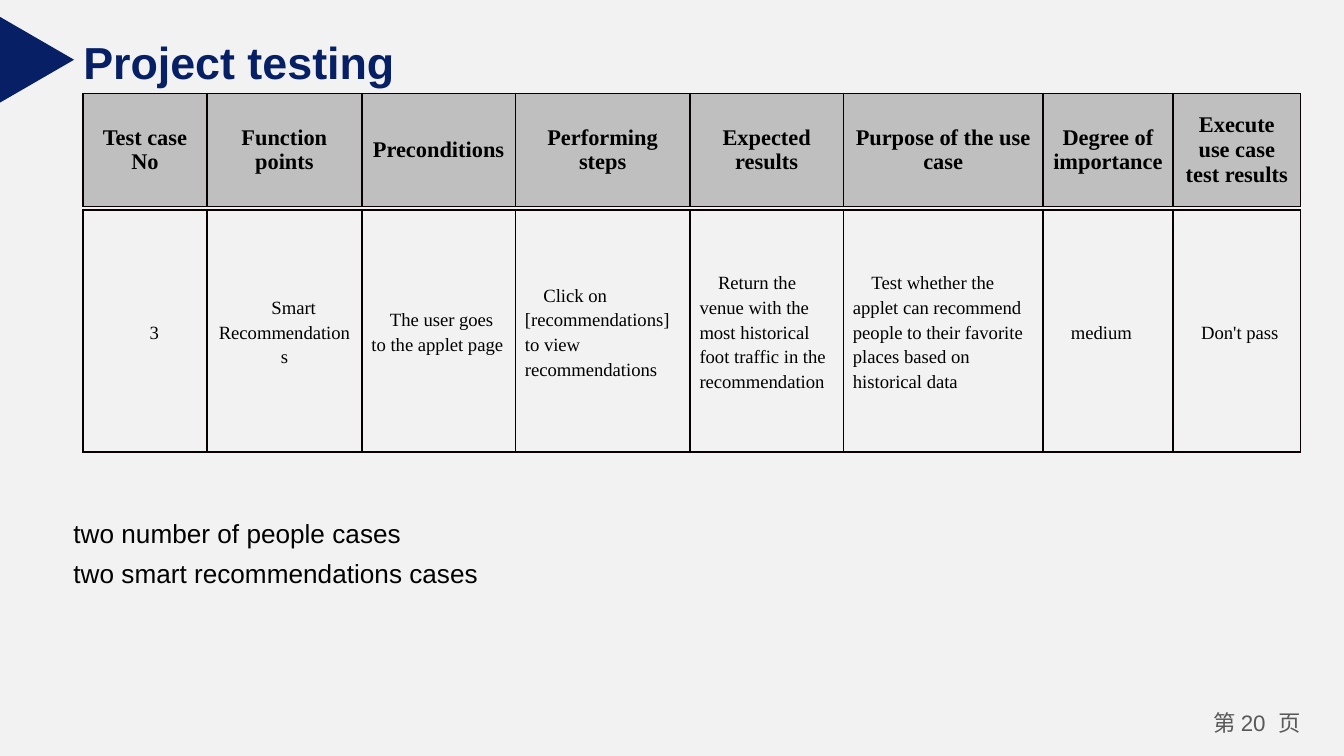
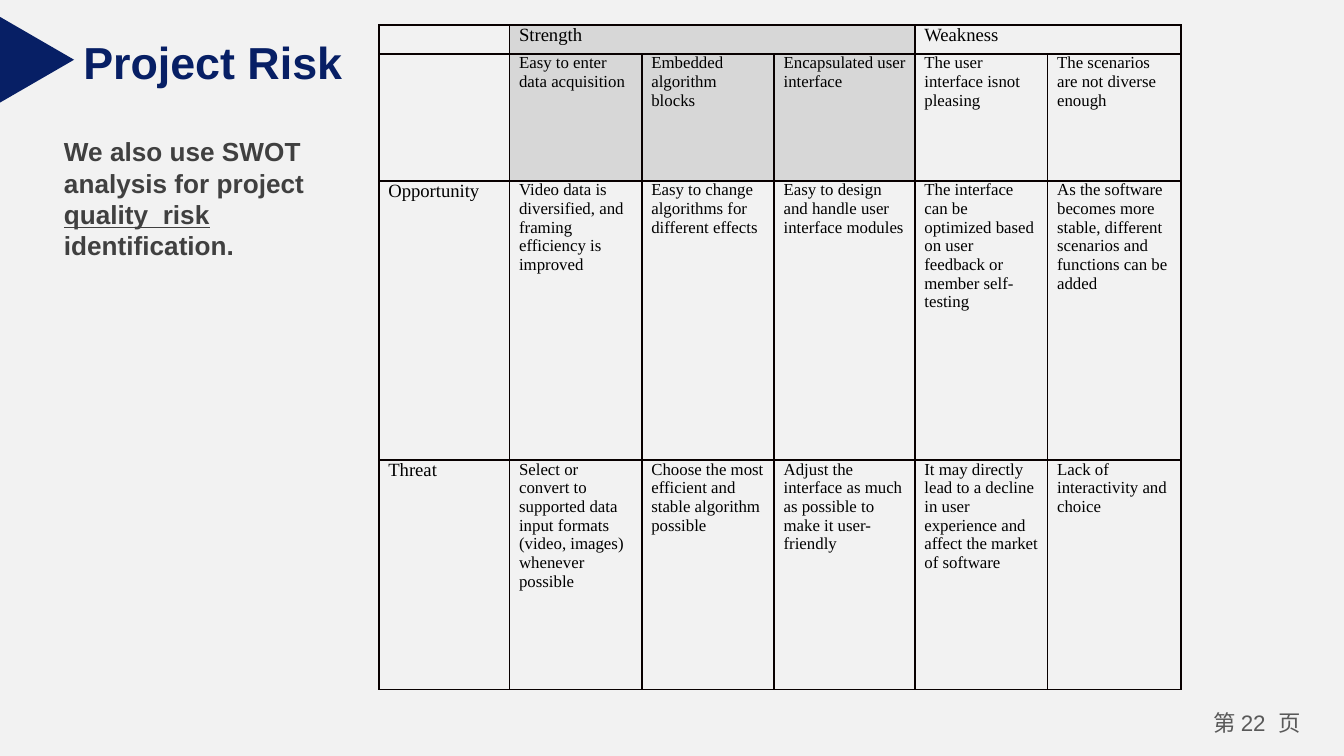
from collections.abc import Callable
from dataclasses import dataclass
from lxml.etree import SubElement
from pptx import Presentation
from pptx.dml.color import RGBColor
from pptx.enum.shapes import MSO_SHAPE as Shape
from pptx.enum.text import MSO_ANCHOR as Anchor, MSO_AUTO_SIZE as AutoSize, PP_ALIGN as Align
from pptx.oxml.ns import qn
from pptx.util import Cm, Pt


# Theme: colours, fonts and type sizes
@dataclass(frozen=True)
class Theme:
    background: str = "F2F2F2"
    navy: str = "071F65"
    black: str = "000000"
    dark_grey: str = "404040"
    page_grey: str = "595959"
    border: str = "080000"
    header_fill: str = "BFBFBF"
    strength_fill: str = "D7D7D7"
    weakness_fill: str = "F1F1F1"
    sans: str = "Arial"
    serif: str = "Times New Roman"
    cjk: str = "Noto Sans CJK SC"
    title_size: float = 24
    body_size: float = 14
    label_size: float = 12
    cell_size: float = 10
    small_size: float = 9


THEME = Theme()


@dataclass(frozen=True)
class CellStyle:
    size: float
    bold: bool = False
    align: Align = Align.LEFT
    anchor: Anchor = Anchor.TOP
    fill: str | None = None
    indent: float = 0
    spacing: float | None = None


@dataclass(frozen=True)
class Grid:
    """A table with lengths in centimetres; spans are (row, first column, last column)."""
    left: float
    top: float
    columns: tuple[float, ...]
    heights: tuple[float, ...]
    texts: tuple[tuple[str, ...], ...]
    style: Callable[[int, int], CellStyle]
    spans: tuple[tuple[int, int, int], ...] = ()


@dataclass(frozen=True)
class TextRun:
    text: str
    underline: bool = False
    font: str = THEME.sans


# Text helpers
def format_run(r, size: float, color: str, font: str = THEME.sans, bold: bool = False) -> None:
    r.font.size = Pt(size)
    r.font.bold = bold
    r.font.color.rgb = RGBColor.from_string(color)
    r.font.name = font
    SubElement(r._r.get_or_add_rPr(), qn("a:ea")).set("typeface", font)


def add_text_box(slide, left: float, top: float, width: float, height: float):
    tf = slide.shapes.add_textbox(Cm(left), Cm(top), Cm(width), Cm(height)).text_frame
    tf.word_wrap = True
    return tf


def add_runs(p, runs: tuple[TextRun, ...], size: float, color: str, bold: bool = False) -> None:
    for item in runs:
        r = p.add_run()
        r.text = item.text
        format_run(r, size, color, item.font, bold)
        if item.underline:
            r.font.underline = True


# Parts that every slide shares
def add_titled_slide(prs, title: str, page: int, title_width: float):
    slide = prs.slides.add_slide(prs.slide_layouts[5])

    sp = slide.shapes.title
    sp.left, sp.top, sp.width, sp.height = Cm(1.32), Cm(0.53), Cm(title_width), Cm(1.27)
    tf = sp.text_frame
    tf.text = title
    tf.word_wrap = True
    tf.auto_size = AutoSize.NONE
    tf.vertical_anchor = Anchor.MIDDLE
    tf.paragraphs[0].alignment = Align.LEFT
    format_run(tf.paragraphs[0].runs[0], THEME.title_size, THEME.navy, bold=True)

    marker = slide.shapes.add_shape(
        Shape.ISOSCELES_TRIANGLE, Cm(-0.11), Cm(0.43), Cm(1.62), Cm(1.4))
    marker.rotation = 90
    marker.shadow.inherit = False
    marker.fill.solid()
    marker.fill.fore_color.rgb = RGBColor.from_string(THEME.navy)
    marker.line.fill.background()

    tf = add_text_box(slide, 22.61, 13.31, 2.29, 0.76)
    tf.margin_left = tf.margin_right = Cm(0.18)
    tf.margin_top = tf.margin_bottom = Cm(0.1)
    p = tf.paragraphs[0]
    p.alignment = Align.CENTER
    add_runs(p, (TextRun("第 ", font=THEME.cjk), TextRun(f"{page}  "),
                 TextRun("页", font=THEME.cjk)), THEME.label_size, THEME.page_grey)
    return slide


# Tables
def add_borders(cell) -> None:
    tc_pr = cell._tc.get_or_add_tcPr()
    for side in ("lnL", "lnR", "lnT", "lnB"):
        ln = SubElement(tc_pr, qn(f"a:{side}"), w=str(Pt(1)))
        fill = SubElement(ln, qn("a:solidFill"))
        SubElement(fill, qn("a:srgbClr"), val=THEME.border)


def fill_cell(cell, text: str, style: CellStyle) -> None:
    cell.margin_left = cell.margin_right = Cm(0.18)
    cell.margin_top = cell.margin_bottom = 0
    cell.vertical_anchor = style.anchor
    add_borders(cell)
    if style.fill:
        cell.fill.solid()
        cell.fill.fore_color.rgb = RGBColor.from_string(style.fill)
    else:
        cell.fill.background()

    p = cell.text_frame.paragraphs[0]
    p.alignment = style.align
    if style.spacing:
        p.line_spacing = style.spacing
    if style.indent:
        p._p.get_or_add_pPr().set("indent", str(Cm(style.indent)))
    if text:
        p.text = text
        format_run(p.runs[0], style.size, THEME.black, THEME.serif, style.bold)
    else:
        # An empty cell keeps its row low through a small end mark
        SubElement(p._p, qn("a:endParaRPr"), sz=str(int(style.size * 100)))


def add_grid(slide, grid: Grid) -> None:
    table = slide.shapes.add_table(
        len(grid.heights), len(grid.columns), Cm(grid.left), Cm(grid.top),
        Cm(sum(grid.columns)), Cm(sum(grid.heights))).table
    table.first_row = table.horz_banding = False
    for column, width in zip(table.columns, grid.columns):
        column.width = Cm(width)
    for row, height in zip(table.rows, grid.heights):
        row.height = Cm(height)
    for i, texts in enumerate(grid.texts):
        for j, text in enumerate(texts):
            fill_cell(table.cell(i, j), text, grid.style(i, j))
    for row, first, last in grid.spans:
        table.cell(row, first).merge(table.cell(row, last))


# Test case tables
CASE_COLUMNS = (2.34, 2.93, 2.9, 3.3, 2.9, 3.77, 2.46, 2.41)


def header_style(row: int, column: int) -> CellStyle:
    return CellStyle(THEME.label_size, True, Align.CENTER, Anchor.MIDDLE, THEME.header_fill)


def case_style(row: int, column: int) -> CellStyle:
    align = Align.CENTER if column < 2 else Align.LEFT
    return CellStyle(THEME.cell_size, align=align, anchor=Anchor.MIDDLE,
                     indent=0.35, spacing=1.2)


CASE_HEADER = Grid(1.57, 1.77, CASE_COLUMNS, (2.13,), ((
    "Test case No", "Function points", "Preconditions", "Performing steps",
    "Expected results", "Purpose of the use case", "Degree of importance",
    "Execute use case test results"),), header_style)

CASE_BODY = Grid(1.57, 3.97, CASE_COLUMNS, (4.57,), ((
    "3", "Smart Recommendations", "The user goes to the applet page",
    "Click on [recommendations] to view recommendations",
    "Return the venue with the most historical foot traffic in the recommendation",
    "Test whether the applet can recommend people to their favorite places "
    "based on historical data",
    "medium", "Don't pass"),), case_style)


# SWOT table
def swot_style(row: int, column: int) -> CellStyle:
    size = THEME.cell_size if row == 0 or column == 0 else THEME.small_size
    fill = None
    if row < 2 and column > 0:
        fill = THEME.strength_fill if column < 4 else THEME.weakness_fill
    return CellStyle(size, fill=fill)


SWOT = Grid(7.16, 0.47, (2.47, 2.5, 2.5, 2.66, 2.51, 2.52), (0.55, 2.4, 5.28, 4.33), (
    ("", "Strength", "", "", "Weakness", ""),
    ("", "Easy to enter data acquisition", "Embedded algorithm blocks",
     "Encapsulated user interface", "The user interface isnot pleasing",
     "The scenarios are not diverse enough"),
    ("Opportunity", "Video data is diversified, and framing efficiency is improved",
     "Easy to change algorithms for different effects",
     "Easy to design and handle user interface modules",
     "The interface can be optimized based on user feedback or member self-testing",
     "As the software becomes more stable, different scenarios and functions can be added"),
    ("Threat",
     "Select or convert to supported data input formats (video, images) whenever possible",
     "Choose the most efficient and stable algorithm possible",
     "Adjust the interface as much as possible to make it user-friendly",
     "It may directly lead to a decline in user experience and affect the market of software",
     "Lack of interactivity and choice"),
), swot_style, ((0, 1, 3), (0, 4, 5)))


# Slides
def build_testing_slide(prs) -> None:
    slide = add_titled_slide(prs, "Project testing", 20, 7.57)
    add_grid(slide, CASE_HEADER)
    add_grid(slide, CASE_BODY)
    tf = add_text_box(slide, 1.14, 9.47, 8.46, 2.59)
    tf.text = "two number of people cases\ntwo smart recommendations cases"
    for p in tf.paragraphs:
        p.line_spacing = 1.3
        format_run(p.runs[0], THEME.body_size, THEME.black)


def build_risk_slide(prs) -> None:
    slide = add_titled_slide(prs, "Project Risk", 22, 6.68)
    tf = add_text_box(slide, 0.96, 2.44, 5.46, 2.64)
    add_runs(tf.paragraphs[0], (
        TextRun("We also use SWOT analysis for project "),
        TextRun("quality  risk", underline=True),
        TextRun(" identification.")), THEME.body_size, THEME.dark_grey, bold=True)
    add_grid(slide, SWOT)


def main() -> None:
    prs = Presentation()
    prs.slide_width, prs.slide_height = Cm(25.4), Cm(14.29)
    fill = prs.slide_master.background.fill
    fill.solid()
    fill.fore_color.rgb = RGBColor.from_string(THEME.background)
    build_testing_slide(prs)
    build_risk_slide(prs)
    prs.save("out.pptx")


if __name__ == "__main__":
    main()
